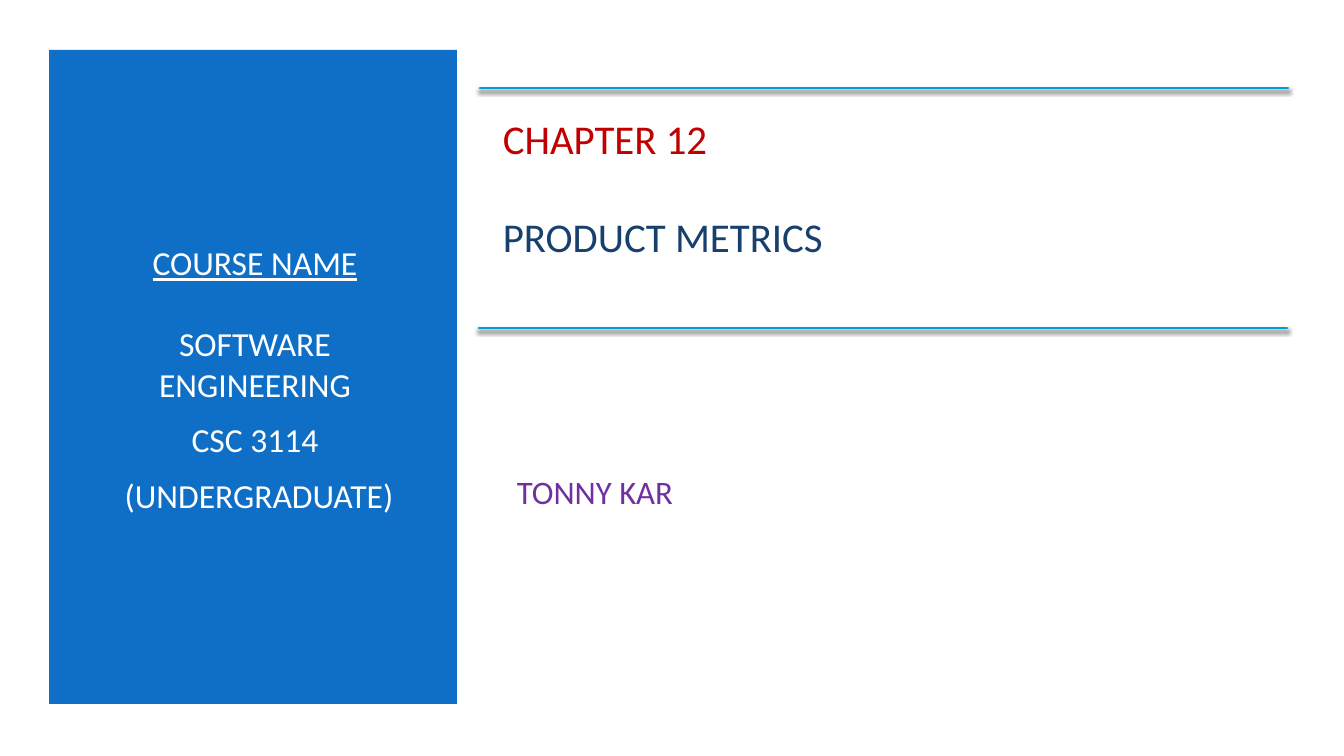
from lxml import etree
from pptx import Presentation
from pptx import util as u
from pptx.dml.color import RGBColor
from pptx.enum import shapes, text
from pptx.oxml.ns import qn

PX = 914400 / 100.8


def px(length):
    return u.Emu(round(length * PX))


def color(value):
    return RGBColor.from_string(value)


presentation = Presentation()
presentation.slide_width, presentation.slide_height = px(1344), px(756)
slide = presentation.slides.add_slide(presentation.slide_layouts[6])
slide.background.fill.solid()
slide.background.fill.fore_color.rgb = color("FFFFFF")

# Blue course panel
panel = slide.shapes.add_shape(
    shapes.MSO_SHAPE.RECTANGLE, px(49), px(50), px(408), px(654))
panel.shadow.inherit = False
panel.fill.solid()
panel.fill.fore_color.rgb = color("0F6FC6")
panel.line.fill.background()

# Text boxes: box, size, alignment, and paragraphs of
# (wording, colour, underline, points before, left indent)
CENTER, LEFT = text.PP_ALIGN.CENTER, text.PP_ALIGN.LEFT
text_blocks = [
    ((85, 114, 340, 529), 24, CENTER, [
        ("COURSE NAME", "FFFFFF", True, 0, 0),
        ("SOFTWARE ENGINEERING", "FFFFFF", False, 29, 0),
        ("CSC 3114", "FFFFFF", False, 10.8, 0),
        ("(UNDERGRADUATE)", "FFFFFF", False, 10.8, 8),
    ]),
    ((493, 111, 791, 152), 29.2, LEFT, [
        ("CHAPTER 12", "C00000", False, 0, 0),
        ("PRODUCT METRICS", "17406D", False, 35, 0),
    ]),
    ((507, 413, 671, 157), 23.4, LEFT, [
        ("TONNY KAR", "7030A0", False, 0, 0),
    ]),
]
for box, size, alignment, paragraphs in text_blocks:
    frame = slide.shapes.add_textbox(*map(px, box)).text_frame
    frame.word_wrap = True
    frame.vertical_anchor = text.MSO_ANCHOR.MIDDLE
    for index, (wording, ink, underline, before, indent) in enumerate(paragraphs):
        paragraph = frame.add_paragraph() if index else frame.paragraphs[0]
        paragraph.alignment = alignment
        if before:
            paragraph.space_before = u.Pt(before)
        if indent:
            paragraph._p.get_or_add_pPr().set("marL", str(px(indent)))
        run = paragraph.add_run()
        run.text = wording
        run.font.name = "Calibri"
        run.font.size = u.Pt(size)
        run.font.underline = underline
        run.font.color.rgb = color(ink)

# Rules above and below the title, with a soft shadow underneath
for left, top in ((480, 88), (479, 328)):
    rule = slide.shapes.add_connector(
        shapes.MSO_CONNECTOR.STRAIGHT, px(left), px(top), px(left + 808), px(top))
    rule.line.color.rgb = color("009DD9")
    rule.line.width = u.Pt(2)
    rule.line._get_or_add_ln().set("cap", "rnd")
    effects = etree.SubElement(rule._element.spPr, qn("a:effectLst"))
    shadow = etree.SubElement(
        effects, qn("a:outerShdw"), blurRad=str(u.Pt(3)), dist=str(u.Pt(2)),
        dir="5400000", rotWithShape="0")
    shade = etree.SubElement(shadow, qn("a:srgbClr"), val="000000")
    etree.SubElement(shade, qn("a:alpha"), val="55000")

presentation.save("out.pptx")
